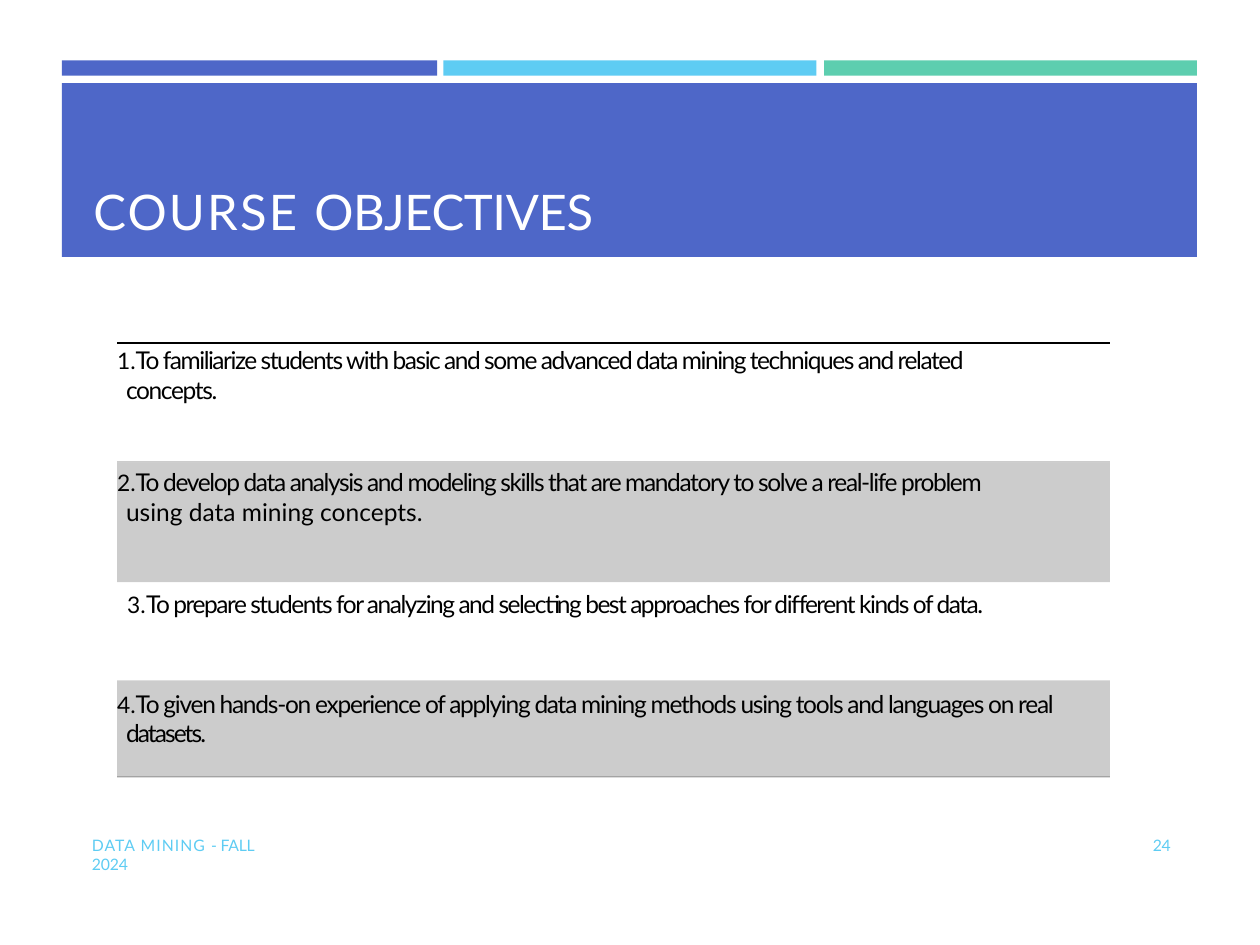
import pptx
import pptx.dml.color
import pptx.enum.shapes
import pptx.enum.text
import pptx.oxml.ns
import pptx.util
from lxml import etree
from typing import NamedTuple

Inches, Pt = pptx.util.Inches, pptx.util.Pt
RGBColor = pptx.dml.color.RGBColor
Anchor = pptx.enum.text.MSO_ANCHOR
qn = pptx.oxml.ns.qn

BLUE = RGBColor(0x4E, 0x67, 0xC8)
SKY = RGBColor(0x5E, 0xCC, 0xF3)
GREEN = RGBColor(0x5D, 0xCE, 0xAF)
BLACK = RGBColor(0, 0, 0)
WHITE = RGBColor(0xFF, 0xFF, 0xFF)
FONT = "Lato"
LIST_LEFT, LIST_WIDTH = 0.93, 7.88


class Box(NamedTuple):
    left: float
    top: float
    width: float
    height: float


class Span(NamedTuple):
    text: str
    spacing: float  # points between letters


class Objective(NamedTuple):
    lines: list[Span]
    before: float
    margin: float = 0.07
    indent: float = -0.07


STRIPES = [
    (Box(0.49, 0.48, 2.98, 0.12), BLUE),
    (Box(3.52, 0.48, 2.96, 0.12), SKY),
    (Box(6.54, 0.48, 2.96, 0.12), GREEN),
]
BANDS = [
    Box(LIST_LEFT, top, LIST_WIDTH, height)
    for top, height in [(3.67, 0.95), (3.66, 0.01), (5.4, 0.77), (6.16, 0.01)]
]
OBJECTIVES = [
    Objective([Span("To familiarize students with basic and some advanced data "
                    "mining techniques and related", -0.85),
               Span("concepts.", -0.8)], 0.8),
    Objective([Span("To develop data analysis and modeling skills that are "
                    "mandatory to solve a real-life problem", -0.8),
               Span("using data mining concepts.", 0)], 35.8),
    Objective([Span("To prepare students for analyzing and selecting best "
                    "approaches for different kinds of data.", -0.85)],
              35.8, 0.23, -0.15),
    Objective([Span("To given hands-on experience of applying data mining "
                    "methods using tools and languages on real", -0.75),
               Span("datasets.", -1.1)], 39.7),
]


def place(sp, box: Box) -> None:
    sp.left, sp.top, sp.width, sp.height = map(Inches, box)


def add_rect(s, box: Box, color: RGBColor, alpha: int = 100) -> None:
    sp = s.shapes.add_shape(pptx.enum.shapes.MSO_SHAPE.RECTANGLE, *map(Inches, box))
    sp.shadow.inherit = False
    sp.fill.solid()
    sp.fill.fore_color.rgb = color
    sp.line.fill.background()
    if alpha < 100:
        clr = sp.element.spPr.find(".//" + qn("a:srgbClr"))
        etree.SubElement(clr, qn("a:alpha"), val=str(alpha * 1000))


def setup_frame(tf, anchor=Anchor.TOP, left: float = 0, top: float = 0,
                bottom: float = 0) -> None:
    tf.word_wrap = True
    tf.auto_size = pptx.enum.text.MSO_AUTO_SIZE.NONE
    tf.vertical_anchor = anchor
    tf.margin_left, tf.margin_top = Inches(left), Inches(top)
    tf.margin_right, tf.margin_bottom = 0, Inches(bottom)


def format_paragraph(p, size: float, color: RGBColor, before: float = 0) -> None:
    p.alignment = pptx.enum.text.PP_ALIGN.LEFT
    p.space_before = Pt(before)
    p.font.name, p.font.size = FONT, Pt(size)
    p.font.color.rgb = color


def add_span(p, span: Span) -> None:
    r = p.add_run()
    r.text = span.text
    r.font.element.set("spc", str(round(span.spacing * 100))) if hasattr(
        r.font, "element") else r._r.get_or_add_rPr().set(
        "spc", str(round(span.spacing * 100)))


def add_objective(p, item: Objective) -> None:
    format_paragraph(p, 14, BLACK, item.before)
    p.line_spacing = 1.01
    pPr = p._p.get_or_add_pPr()
    pPr.set("marL", str(Inches(item.margin)))
    pPr.set("indent", str(Inches(item.indent)))
    size = etree.Element(qn("a:buSzPct"), val="93000")
    number = etree.Element(qn("a:buAutoNum"), type="arabicPeriod")
    pPr.find(qn("a:defRPr")).addprevious(size)
    size.addnext(number)
    for i, line in enumerate(item.lines):
        if i:
            p.add_line_break()
            br = p._p.findall(qn("a:br"))[-1]
            etree.SubElement(br, qn("a:rPr"), sz="1400")
        add_span(p, line)


def add_label(s, box: Box, spans: list[Span], left: float) -> None:
    tf = s.shapes.add_textbox(*map(Inches, box)).text_frame
    setup_frame(tf, left=left)
    p = tf.paragraphs[0]
    format_paragraph(p, 9, SKY, 0.3)
    for span in spans:
        add_span(p, span)


def main() -> None:
    prs = pptx.Presentation()
    prs.slide_width, prs.slide_height = Inches(10), Inches(7.5)
    s = prs.slides.add_slide(prs.slide_layouts[1])
    title, body = s.placeholders[0], s.placeholders[1]

    for box, color in STRIPES:
        add_rect(s, box, color)

    place(title, Box(0.49, 0.66, 9.01, 1.38))
    title.fill.solid()
    title.fill.fore_color.rgb = BLUE
    setup_frame(title.text_frame, Anchor.BOTTOM, left=0.25, bottom=0.13)
    p = title.text_frame.paragraphs[0]
    format_paragraph(p, 28, WHITE)
    add_span(p, Span("COURSE ", 1.3))
    add_span(p, Span("OBJECTIVES", -0.2))

    for box in BANDS:
        add_rect(s, box, BLACK, alpha=20)
    rule = s.shapes.add_connector(
        pptx.enum.shapes.MSO_CONNECTOR.STRAIGHT, Inches(LIST_LEFT), Inches(2.72),
        Inches(LIST_LEFT + LIST_WIDTH), Inches(2.72))
    rule.line.color.rgb = BLACK
    rule.line.width = Pt(1)
    etree.SubElement(rule.element.spPr, qn("a:effectLst"))

    # The list goes in front of its shaded bands.
    body.element.getparent().append(body.element)
    place(body, Box(LIST_LEFT, 2.73, LIST_WIDTH, 3.17))
    tf = body.text_frame
    setup_frame(tf, top=0.01)
    for i, item in enumerate(OBJECTIVES):
        add_objective(tf.add_paragraph() if i else tf.paragraphs[0], item)

    add_label(s, Box(0.72, 6.63, 1.5, 0.16),
              [Span("DATA MINING ", 0.6), Span("- FALL 2024", -0.1)], 0.01)
    add_label(s, Box(9.11, 6.63, 0.21, 0.17), [Span("24", -0.2)], 0.04)
    prs.save("out.pptx")


if __name__ == "__main__":
    main()
